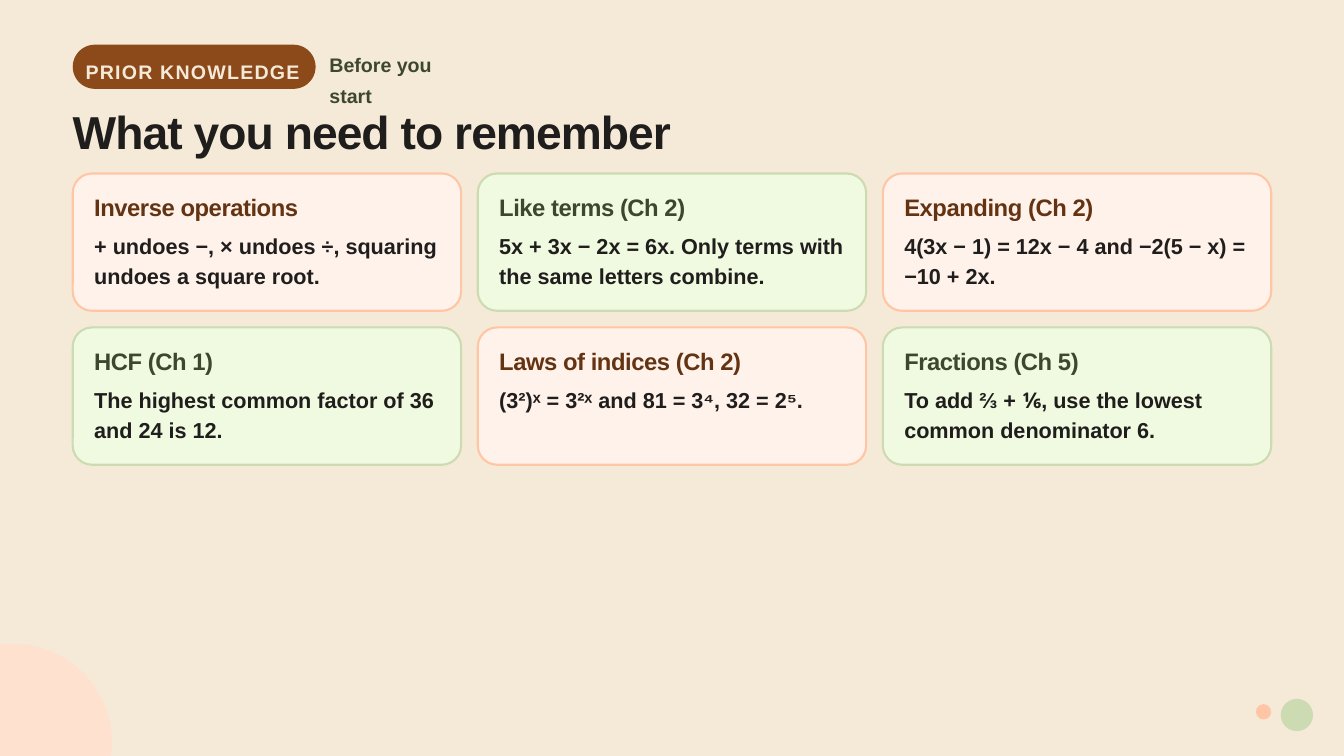
"""Build the prior knowledge slide with six recap cards."""
from pptx import Presentation
from pptx.dml.color import RGBColor as RGB
from pptx.enum.shapes import MSO_SHAPE as SHAPE
from pptx.enum.text import MSO_ANCHOR as ANCHOR, PP_ALIGN as ALIGN
from pptx.util import Cm, Pt

COLOURS = {
    "sand": "F5EAD8", "blush": "FFE1D0", "sage": "CCDBB2", "peach": "FFC6A5",
    "rust": "8C491A", "brown": "643312", "olive": "3D472B", "ink": "201E1D",
    "rose": "FFF2EB", "mint": "F0FAE1",
}


def add_panel(kind, left, top, width, height, fill, outline=None):
    panel = slide.shapes.add_shape(kind, Cm(left), Cm(top), Cm(width), Cm(height))
    panel.shadow.inherit = False
    panel.fill.solid()
    panel.fill.fore_color.rgb = RGB.from_string(COLOURS[fill])
    if outline:
        panel.line.color.rgb = RGB.from_string(COLOURS[outline])
        panel.line.width = Pt(2.25)
    else:
        panel.line.fill.background()
    return panel


def write(holder, text, size, leading, colour, tracking=0, insets=(0, 0)):
    frame = holder.text_frame
    frame.word_wrap = True
    frame.vertical_anchor = ANCHOR.TOP
    frame.margin_left, frame.margin_top = Cm(insets[0]), Cm(insets[1])
    frame.margin_right = frame.margin_bottom = 0
    paragraph = frame.paragraphs[0]
    paragraph.alignment = ALIGN.LEFT
    paragraph.line_spacing = Pt(leading)
    run = paragraph.add_run()
    run.text = text
    run.font.name = "Arial"
    run.font.size = Pt(size)
    run.font.bold = True
    run.font.color.rgb = RGB.from_string(COLOURS[colour])
    if tracking:
        run.font._element.set("spc", str(int(tracking * 100)))


deck = Presentation()
deck.slide_width, deck.slide_height = Cm(50.8), Cm(28.58)
slide = deck.slides.add_slide(deck.slide_layouts[6])
add_text = slide.shapes.add_textbox

add_panel(SHAPE.RECTANGLE, 0, 0, 50.8, 28.58, "sand")
for left, top, diameter, colour in [
    (-3.18, 24.34, 7.41, "blush"),
    (48.41, 26.42, 1.22, "sage"),
    (47.47, 26.62, 0.58, "peach"),
]:
    add_panel(SHAPE.OVAL, left, top, diameter, diameter, colour)

margin = 2.75
badge = add_panel(SHAPE.ROUNDED_RECTANGLE, margin, 1.69, 9.18, 1.67, "rust")
badge.adjustments[0] = 0.5
write(badge, "PRIOR KNOWLEDGE", 21, 32.5, "sand", 1.3, (0.24, 0.09))

stage = add_text(Cm(12.45), Cm(1.75), Cm(5.51), Cm(1.35))
write(stage, "Before you start", 21, 32.5, "olive")
title = add_text(Cm(margin), Cm(4.19), Cm(45.3), Cm(1.7))
write(title, "What you need to remember", 49.5, 51.5, "ink", -1)

topics = [
    ("Inverse operations", "+ undoes −, × undoes ÷, squaring undoes a square root."),
    ("Like terms (Ch 2)", "5x + 3x − 2x = 6x. Only terms with the same letters combine."),
    ("Expanding (Ch 2)", "4(3x − 1) = 12x − 4 and −2(5 − x) = −10 + 2x."),
    ("HCF (Ch 1)", "The highest common factor of 36 and 24 is 12."),
    ("Laws of indices (Ch 2)", "(3²)ˣ = 3²ˣ and 81 = 3⁴, 32 = 2⁵."),
    ("Fractions (Ch 5)", "To add ⅔ + ⅙, use the lowest common denominator 6."),
]
themes = [("rose", "peach", "brown"), ("mint", "sage", "olive")]
card_width, card_height, gap = 14.68, 5.19, 0.63
padding = 0.81

for index, (topic, reminder) in enumerate(topics):
    row, column = divmod(index, 3)
    left = margin + column * (card_width + gap)
    top = 6.56 + row * (card_height + gap)
    fill, outline, accent = themes[index % 2]
    card = add_panel(SHAPE.ROUNDED_RECTANGLE, left, top, card_width, card_height, fill, outline)
    card.adjustments[0] = 0.14
    text_left, text_width = Cm(left + padding), Cm(card_width - 2 * padding)
    heading = add_text(text_left, Cm(top + 0.4), text_width, Cm(1.68))
    write(heading, topic, 25.5, 39.5, accent, -0.5)
    body = add_text(text_left, Cm(top + 2.11), text_width, Cm(2.44))
    write(body, reminder, 23.2, 32.1, "ink")

deck.save("out.pptx")
